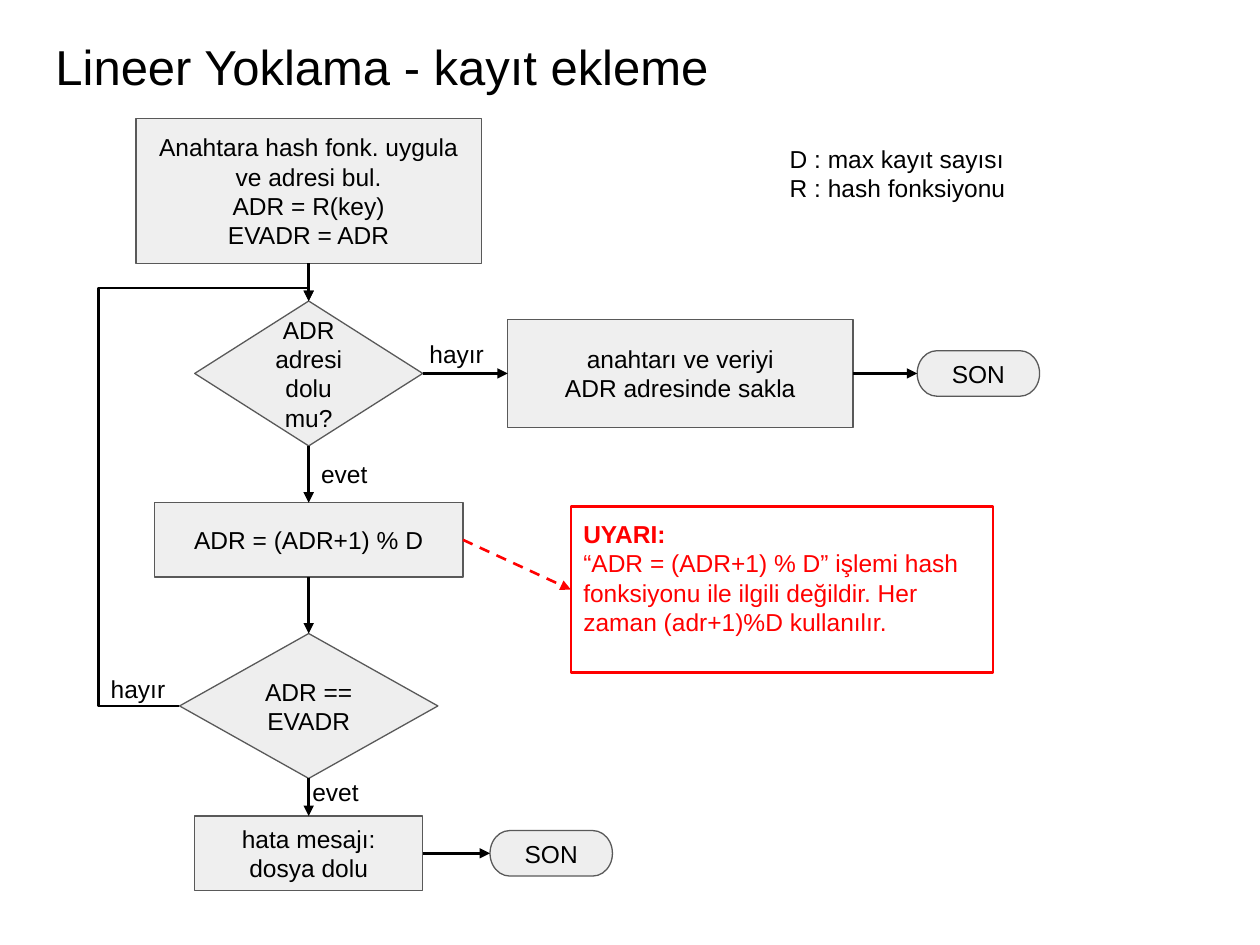
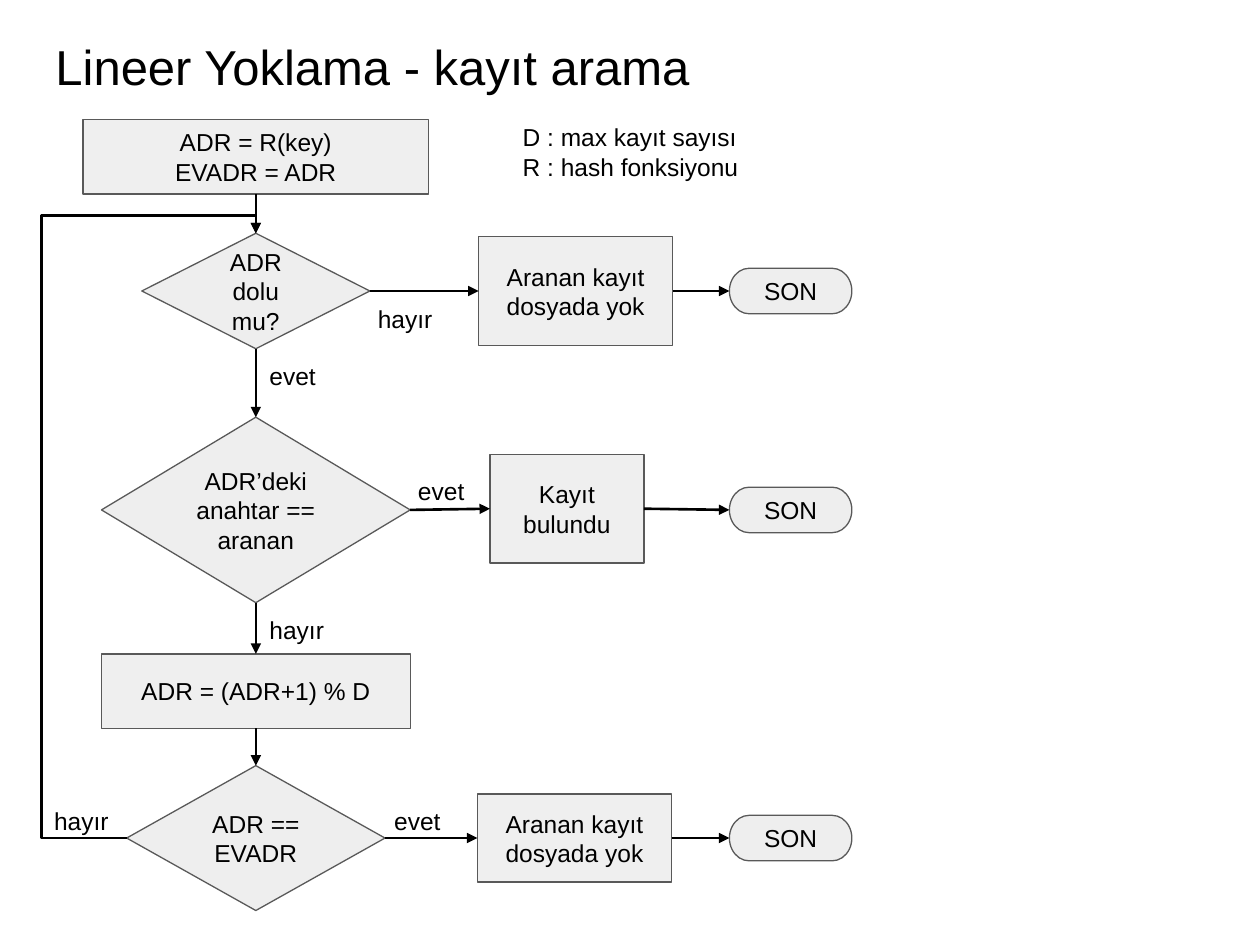
from lxml.etree import SubElement
from pptx import Presentation
from pptx.dml.color import RGBColor
from pptx.enum.dml import MSO_LINE as Dash
from pptx.enum.shapes import MSO_CONNECTOR as Link, MSO_SHAPE as Shape
from pptx.enum.text import MSO_ANCHOR as Anchor, MSO_AUTO_SIZE as AutoSize, PP_ALIGN as Align
from pptx.oxml.ns import qn
from pptx.util import Pt

BLACK = RGBColor(0x00, 0x00, 0x00)
RED = RGBColor(0xFF, 0x00, 0x00)
OUTLINE = RGBColor(0x59, 0x59, 0x59)
STEP_FILL = RGBColor(0xEF, 0xEF, 0xEF)
NODE_FILL = RGBColor(0xEE, 0xEE, 0xEE)

INSET = Pt(7.2)
FRAME = {"word_wrap": True, "auto_size": AutoSize.NONE, "margin_left": INSET,
         "margin_right": INSET, "margin_top": INSET, "margin_bottom": INSET}

# Shape and fill of each kind of flowchart node
KINDS = {"step": (Shape.RECTANGLE, STEP_FILL),
         "test": (Shape.FLOWCHART_DECISION, NODE_FILL),
         "end": (Shape.FLOWCHART_TERMINATOR, NODE_FILL)}
# Connection sites
TOP, LEFT, BOTTOM, RIGHT = range(4)
DOWN, ACROSS = (BOTTOM, TOP), (RIGHT, LEFT)

WIDE, MEDIUM, NARROW = 197.3, 176.4, 130.3
LOW, TALL = 42.5, 82.8
END_SIZE = (70, 26)
LABEL_SIZE = (54.7, 21.6)
LEGEND = "D : max kayıt sayısı\nR : hash fonksiyonu"
WARNING = ("UYARI:\n“ADR = (ADR+1) % D” işlemi hash fonksiyonu ile ilgili "
           "değildir. Her zaman (adr+1)%D kullanılır.")

# Nodes: kind, centre x, centre y, width, height, text
AXIS_ADD, AXIS_FIND, END_X = 176.4, 146.2, 451.8
CHARTS = [
    {"title": "Lineer Yoklama - kayıt ekleme",
     "legend": (444.2, 74.9, 211, LOW),
     "nodes": {
         "start": ("step", AXIS_ADD, 109.1, WIDE, TALL,
                   "Anahtara hash fonk. uygula ve adresi bul.\nADR = R(key)\nEVADR = ADR"),
         "occupied": ("test", AXIS_ADD, 213.4, NARROW, TALL, "ADR adresi dolu mu?"),
         "store": ("step", 388.8, 213.4, WIDE, 62, "anahtarı ve veriyi\nADR adresinde sakla"),
         "stored end": ("end", 559.1, 213.4, *END_SIZE, "SON"),
         "next": ("step", AXIS_ADD, 308.5, MEDIUM, LOW, "ADR = (ADR+1) % D"),
         "wrapped": ("test", AXIS_ADD, 403.4, 147.6, TALL, "ADR == EVADR"),
         "full": ("step", AXIS_ADD, 487.6, NARROW, LOW, "hata mesajı:\ndosya dolu"),
         "full end": ("end", 315, 487.6, *END_SIZE, "SON")},
     "down": ["start", "occupied", "next", "wrapped", "full"],
     "across": [["occupied", "store", "stored end"], ["full", "full end"]],
     "bends": (-0.625, 1.032),
     "labels": [("hayır", 56.2, 378), ("hayır", 238.3, 186.5),
                ("evet", 176.4, 254.9), ("evet", 171.4, 437)],
     "warning": (326.2, 289.4, 241.2, 95)},
    {"title": "Lineer Yoklama - kayıt arama",
     "legend": (291.6, 62.6, 158.4, LOW),
     "nodes": {
         "start": ("step", AXIS_FIND, 89.6, WIDE, LOW, "ADR = R(key)\nEVADR = ADR"),
         "occupied": ("test", AXIS_FIND, 166.3, NARROW, 66, "ADR dolu mu?"),
         "missing": ("step", 329, 166.3, 111, 62, "Aranan kayıt dosyada yok"),
         "missing end": ("end", END_X, 166.3, *END_SIZE, "SON"),
         "compare": ("test", AXIS_FIND, 291.4, MEDIUM, 106, "ADR’deki\nanahtar == aranan"),
         "found": ("step", 324, 290.7, 88, 62, "Kayıt bulundu"),
         "found end": ("end", END_X, 291.4, *END_SIZE, "SON"),
         "next": ("step", AXIS_FIND, 394.9, MEDIUM, LOW, "ADR = (ADR+1) % D"),
         "wrapped": ("test", AXIS_FIND, 478.9, 147.6, TALL, "ADR == EVADR"),
         "absent": ("step", 328.3, 478.9, 111, 50.4, "Aranan kayıt dosyada yok"),
         "absent end": ("end", END_X, 478.9, *END_SIZE, "SON")},
     "down": ["start", "occupied", "compare", "next", "wrapped"],
     "across": [["occupied", "missing", "missing end"], ["compare", "found", "found end"],
                ["wrapped", "absent", "absent end"]],
     "bends": (-0.659, 1.03),
     "labels": [("hayır", 23.8, 453.6), ("hayır", 208.8, 166.3), ("evet", 218.2, 453.6),
                ("evet", 231.8, 265), ("hayır", 146.9, 344.2), ("evet", 146.9, 199.4)],
     "warning": None},
]


def write(box, text, size=14, color=BLACK, align=Align.LEFT, anchor=Anchor.TOP):
    frame = box.text_frame
    for name, value in {**FRAME, "vertical_anchor": anchor}.items():
        setattr(frame, name, value)
    for number, line in enumerate(text.split("\n")):
        para = frame.add_paragraph() if number else frame.paragraphs[0]
        para.alignment = align
        span = para.add_run()
        span.text = line
        for name, value in {"name": "Arial", "size": Pt(size), "bold": False}.items():
            setattr(span.font, name, value)
        span.font.color.rgb = color


def join(page, source, target, sites, kind=Link.STRAIGHT, color=BLACK, dash=None):
    arrow = page.shapes.add_connector(kind, 0, 0, 0, 0)
    arrow.begin_connect(source, sites[0])
    arrow.end_connect(target, sites[1])
    arrow.line.color.rgb = color
    arrow.line.width = Pt(1.5)
    arrow.line.dash_style = dash
    shape_format = arrow._element.spPr
    SubElement(shape_format.get_or_add_ln(), qn("a:tailEnd"), type="triangle")
    SubElement(shape_format, qn("a:effectLst"))
    return shape_format


deck = Presentation()
deck.slide_width, deck.slide_height = Pt(720), Pt(540)

for chart in CHARTS:
    page = deck.slides.add_slide(deck.slide_layouts[5])

    # Title and legend
    title = page.shapes.title
    for name, value in {"left": 24.5, "top": 13.7, "width": 671, "height": 46.8}.items():
        setattr(title, name, Pt(value))
    write(title, chart["title"], size=28)
    write(page.shapes.add_textbox(*map(Pt, chart["legend"])), LEGEND)

    # Flowchart nodes
    nodes = {}
    for key, (kind, x, y, width, height, text) in chart["nodes"].items():
        outline, fill = KINDS[kind]
        node = page.shapes.add_shape(outline, Pt(x - width / 2), Pt(y - height / 2),
                                     Pt(width), Pt(height))
        node.shadow.inherit = False
        node.fill.solid()
        node.fill.fore_color.rgb = fill
        node.line.color.rgb = OUTLINE
        node.line.width = Pt(0.75)
        write(node, text, align=Align.CENTER, anchor=Anchor.MIDDLE)
        nodes[key] = node

    # Straight arrows along the main column and the side rows
    for sites, chains in ((DOWN, [chart["down"]]), (ACROSS, chart["across"])):
        for chain in chains:
            for source, target in zip(chain, chain[1:]):
                join(page, nodes[source], nodes[target], sites)

    # Loop back to the first test
    loop = join(page, nodes["wrapped"], nodes["occupied"], (LEFT, TOP), Link.ELBOW)
    loop.prstGeom.set("prst", "bentConnector4")
    loop.prstGeom.rewrite_guides([(f"adj{number}", round(bend * 100000))
                                  for number, bend in enumerate(chart["bends"], 1)])
    loop.xfrm.flipV = False
    loop.xfrm.flipH = True
    loop.xfrm.set("rot", "10800000")

    # Branch labels
    for text, left, top in chart["labels"]:
        write(page.shapes.add_textbox(Pt(left), Pt(top), *map(Pt, LABEL_SIZE)), text)

    # Warning box with its dashed arrow
    if chart["warning"]:
        warning = page.shapes.add_shape(Shape.RECTANGLE, *map(Pt, chart["warning"]))
        warning.shadow.inherit = False
        warning.fill.background()
        warning.line.color.rgb = RED
        warning.line.width = Pt(1.5)
        write(warning, WARNING, color=RED)
        warning.text_frame.paragraphs[0].runs[0].font.bold = True
        join(page, nodes["next"], warning, ACROSS, color=RED, dash=Dash.DASH)

deck.save("out.pptx")
